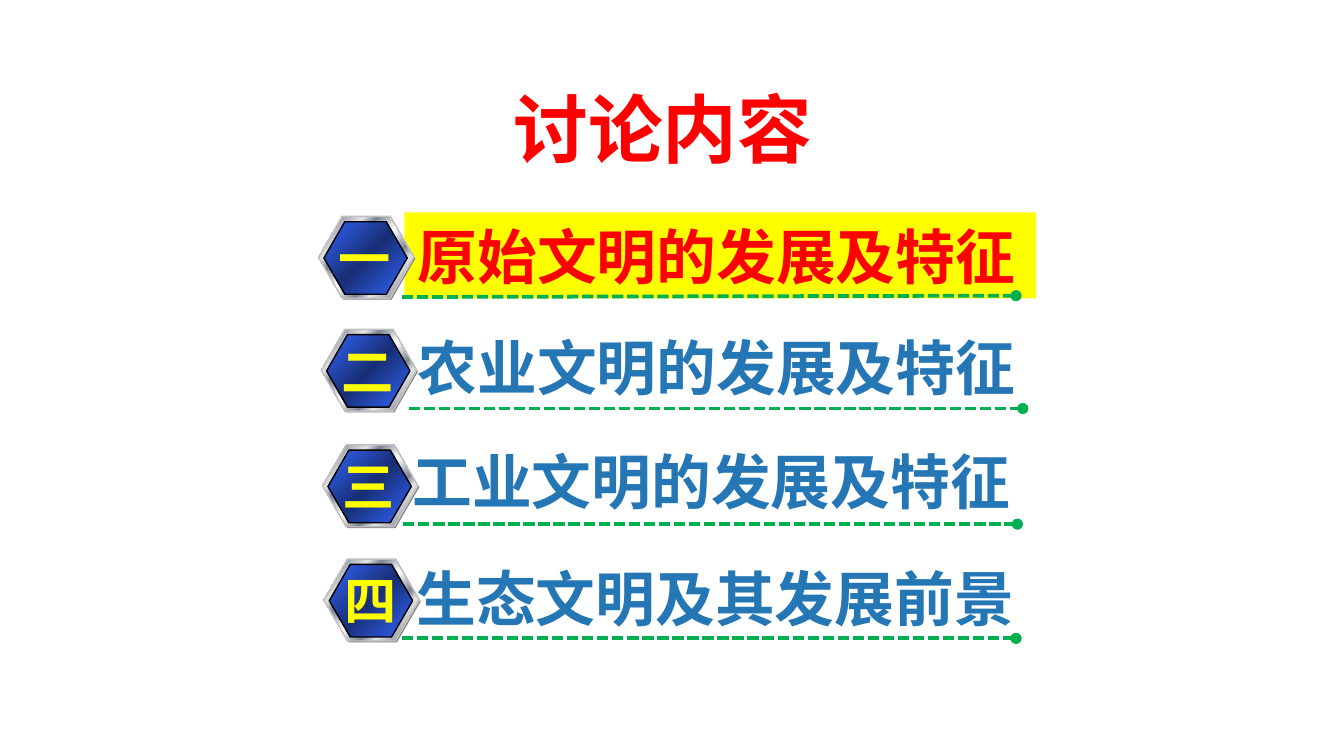
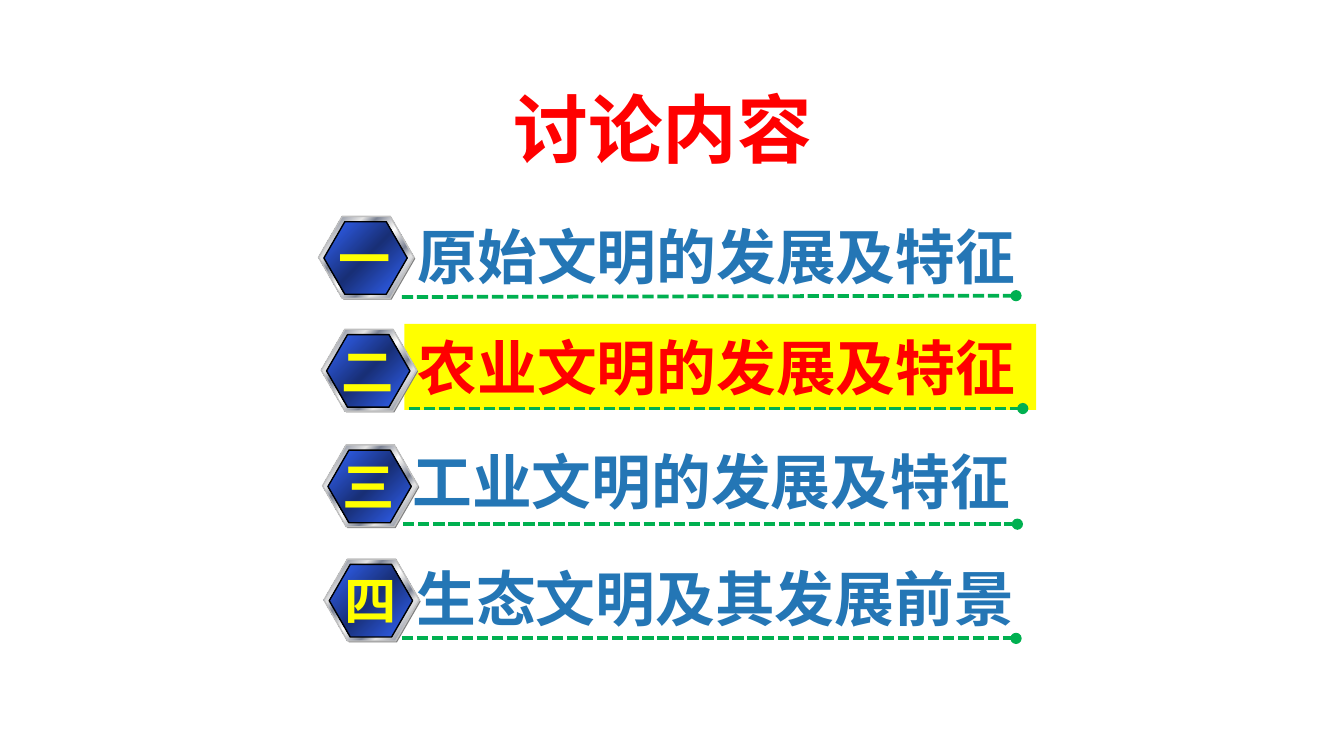
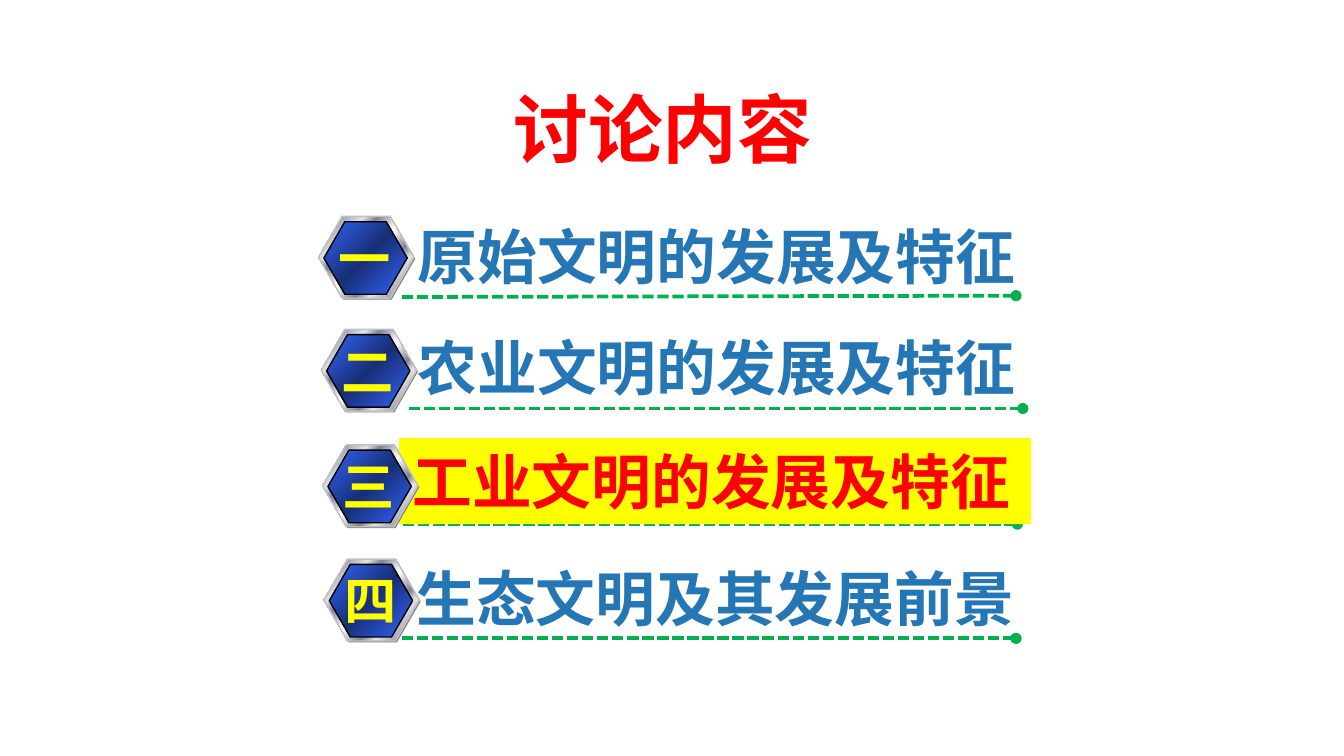
from collections import namedtuple

from lxml import etree
from pptx import Presentation
from pptx import util as u
from pptx.dml.color import RGBColor
from pptx.enum import dml, shapes, text
from pptx.oxml.ns import qn

FONT = "Noto Sans CJK SC"
RED, BLUE, YELLOW, GREEN = "FF0000", "2476B5", "FFFF00", "00B050"
METAL = [(0, "E6E6E6"), (8, "7D8496"), (26, "E6E6E6"), (34, "7D8496"),
         (46, "E6E6E6"), (50, "FFFFFF"), (54, "E6E6E6"), (66, "7D8496"),
         (74, "E6E6E6"), (92, "7D8496"), (100, "E6E6E6")]
ENAMEL = [(0, "3366FF"), (50, "182F76"), (100, "3366FF")]

# Positions are (left, top) in inches; the underline is (left, start y, end y).
Topic = namedtuple("Topic", "number heading heading_at underline underline_behind badge_at")
TOPICS = [
    Topic("一", "原始文明的发展及特征", (3.01, 1.58), (2.99, 2.21, 2.2), False, (2.37, 1.61)),
    Topic("二", "农业文明的发展及特征", (3.01, 2.41), (3.04, 3.04, 3.04), False, (2.39, 2.45)),
    Topic("三", "工业文明的发展及特征", (2.97, 3.26), (3, 3.9, 3.9), True, (2.4, 3.31)),
    Topic("四", "生态文明及其发展前景", (3, 4.13), (2.99, 4.75, 4.75), True, (2.41, 4.16)),
]
UNDERLINE_WIDTH = 4.57


def rgb(hex_code):
    return RGBColor.from_string(hex_code)


def inches(*lengths):
    return [u.Inches(length) for length in lengths]


def write(box, words, size, color, align):
    frame = box.text_frame
    frame.text = words
    frame.word_wrap = True
    frame.auto_size = text.MSO_AUTO_SIZE.NONE
    frame.vertical_anchor = text.MSO_ANCHOR.MIDDLE
    paragraph = frame.paragraphs[0]
    paragraph.alignment = align
    for run in paragraph.runs:
        font = run.font
        font.name, font.size, font.bold = FONT, u.Pt(size), True
        font.color.rgb = rgb(color)
        etree.SubElement(font._element, qn("a:ea"), typeface=FONT)


def write_tight(box, *style):
    """Write one line that fills the full height of its box."""
    write(box, *style)
    box.text_frame.margin_top = box.text_frame.margin_bottom = 0


def add_title(slide):
    title = slide.shapes.title
    title.left, title.top, title.width, title.height = inches(1.62, 0.57, 6.75, 0.94)
    write(title, "讨论内容 ", 40, RED, text.PP_ALIGN.CENTER)
    title.text_frame.vertical_anchor = text.MSO_ANCHOR.TOP


def add_heading(slide, topic, current):
    place = inches(*topic.heading_at, 4.7, 0.64)
    if current:
        heading = slide.shapes.add_shape(shapes.MSO_SHAPE.RECTANGLE, *place)
        heading.shadow.inherit = False
        heading.fill.solid()
        heading.fill.fore_color.rgb = rgb(YELLOW)
        heading.line.fill.background()
    else:
        heading = slide.shapes.add_textbox(*place)
    write_tight(heading, topic.heading, 32, RED if current else BLUE, text.PP_ALIGN.LEFT)


def add_underline(slide, topic):
    left, start_y, end_y = topic.underline
    underline = slide.shapes.add_connector(
        shapes.MSO_CONNECTOR.STRAIGHT,
        *inches(left, start_y, left + UNDERLINE_WIDTH, end_y))
    underline.line.color.rgb = rgb(GREEN)
    underline.line.width = u.Pt(2)
    underline.line.dash_style = dml.MSO_LINE.SQUARE_DOT
    properties = underline._element.spPr
    etree.SubElement(properties.find(qn("a:ln")), qn("a:tailEnd"), type="oval")
    etree.SubElement(properties, qn("a:effectLst"))


def fill_gradient(shape, stops):
    """Replace the default stops and run the gradient to the lower right."""
    shape.fill.gradient()
    gradient = shape._element.spPr.find(qn("a:gradFill"))
    stop_list = gradient.find(qn("a:gsLst"))
    for stop in list(stop_list):
        stop_list.remove(stop)
    for percent, color in stops:
        stop = etree.SubElement(stop_list, qn("a:gs"), pos=str(percent * 1000))
        etree.SubElement(stop, qn("a:srgbClr"), val=color)
    gradient.find(qn("a:lin")).set("ang", str(45 * 60000))


def add_hexagon(badge, place, fill, outline=None):
    hexagon = badge.shapes.add_shape(shapes.MSO_SHAPE.HEXAGON, *inches(*place))
    hexagon.adjustments[0] = 0.289
    hexagon.shadow.inherit = False
    if isinstance(fill, str):
        hexagon.fill.solid()
        hexagon.fill.fore_color.rgb = rgb(fill)
    else:
        fill_gradient(hexagon, fill)
    if outline:
        hexagon.line.color.rgb = rgb(outline)
        hexagon.line.width = u.Pt(0.75)
    else:
        hexagon.line.fill.background()


def add_badge(slide, topic):
    left, top = topic.badge_at
    badge = slide.shapes.add_group_shape()
    add_hexagon(badge, (left + 0.01, top + 0.01, 0.71, 0.61), "808080")
    add_hexagon(badge, (left, top, 0.71, 0.61), METAL, "C0C0C0")
    add_hexagon(badge, (left + 0.04, top + 0.04, 0.62, 0.54), ENAMEL, "000000")
    number = slide.shapes.add_textbox(*inches(left + 0.05, top + 0.02, 0.59, 0.57))
    write_tight(number, topic.number, 28, YELLOW, text.PP_ALIGN.CENTER)


def add_topic(slide, topic, current):
    if topic.underline_behind:
        add_underline(slide, topic)
    add_heading(slide, topic, current)
    if not topic.underline_behind:
        add_underline(slide, topic)
    add_badge(slide, topic)


def set_widescreen(deck):
    """Make the slides 16:9 and drop the template's 4:3 size label."""
    deck.slide_width = u.Inches(10)
    deck.slide_height = u.Inches(10 * 9 / 16)
    deck.element.find(qn("p:sldSz")).attrib.pop("type", None)


def main():
    deck = Presentation()
    set_widescreen(deck)
    title_only = deck.slide_layouts[5]
    for current_topic in TOPICS[:3]:
        slide = deck.slides.add_slide(title_only)
        add_title(slide)
        for topic in TOPICS:
            add_topic(slide, topic, topic is current_topic)
    deck.save("out.pptx")


if __name__ == "__main__":
    main()
